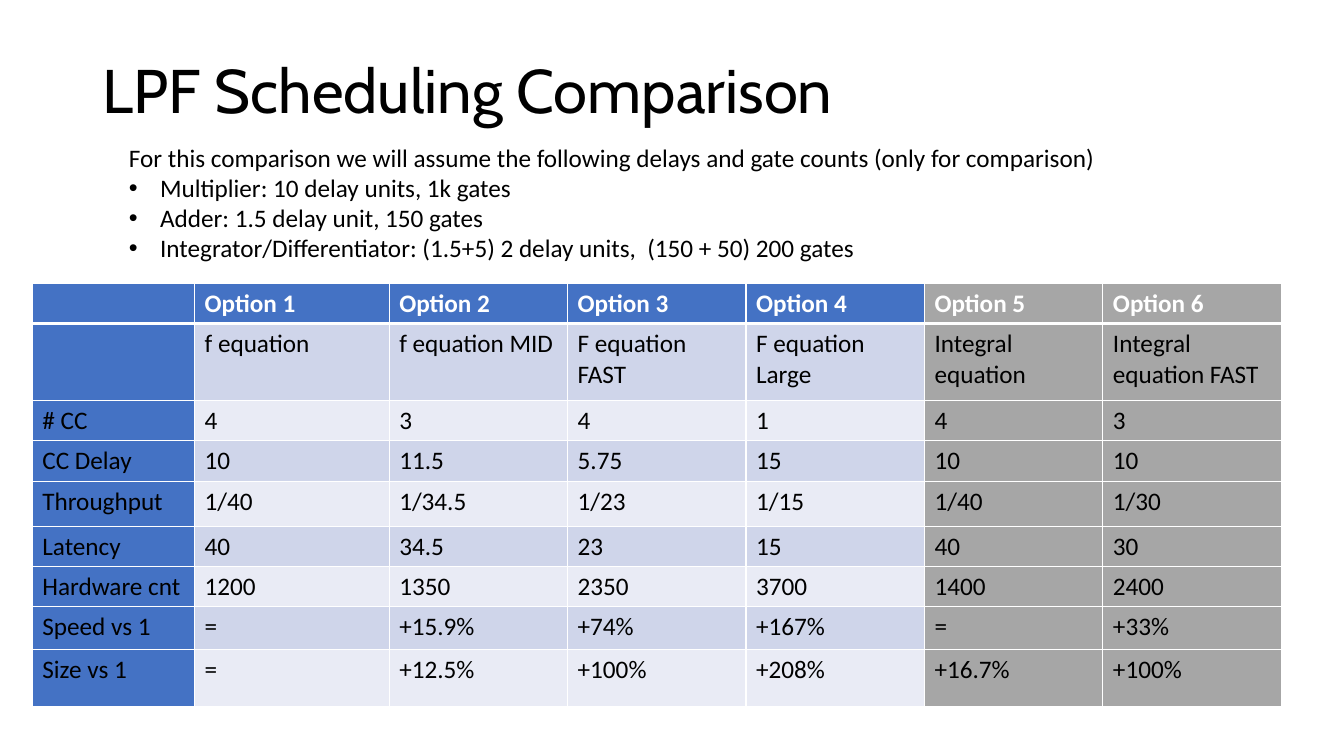
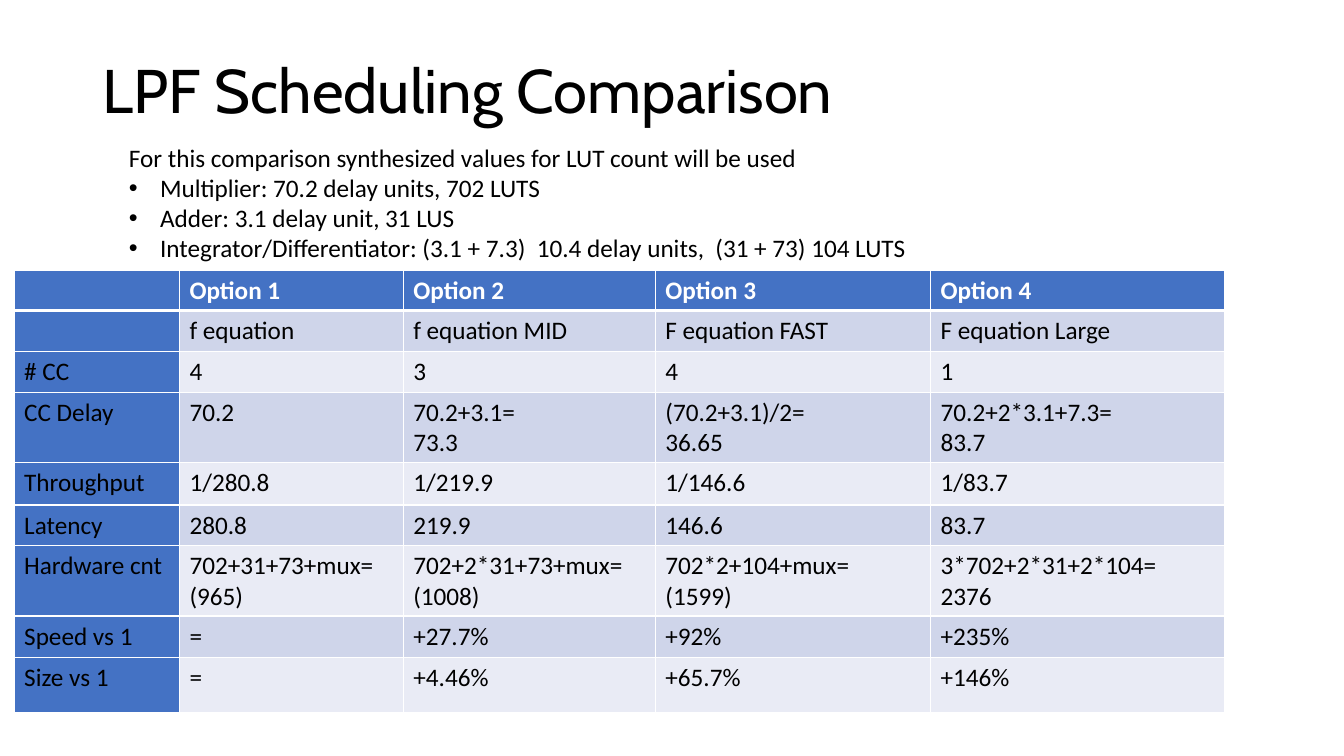
from dataclasses import dataclass

from lxml.etree import SubElement
from pptx import Presentation
from pptx.dml.color import RGBColor
from pptx.enum.text import MSO_ANCHOR, MSO_AUTO_SIZE
from pptx.oxml.ns import qn
from pptx.slide import Slide
from pptx.table import _Cell as Cell
from pptx.text.text import _Paragraph as Paragraph
from pptx.util import Inches, Pt

BLACK = RGBColor(0x00, 0x00, 0x00)
WHITE = RGBColor(0xFF, 0xFF, 0xFF)
BLUE = RGBColor(0x44, 0x72, 0xC4)
GRAY = RGBColor(0xA6, 0xA6, 0xA6)
BANDS = (RGBColor(0xE9, 0xEB, 0xF5), RGBColor(0xCF, 0xD5, 0xEA))

TITLE = "LPF Scheduling Comparison"
TITLE_FONT, BODY_FONT = "Cabin", "Calibri"
TITLE_SIZE, BODY_SIZE = Pt(44), Pt(18)
BULLET_INDENT = Inches(0.31)
THIN, THICK = Pt(1), Pt(3)


@dataclass(frozen=True)
class Comparison:
    """One slide: assumptions above a table; columns from first_gray on are gray."""
    intro: str
    bullets: tuple[str, ...]
    left: float
    top: float
    widths: tuple[float, ...]
    heights: tuple[float, ...]
    rows: tuple[tuple[str, ...], ...]
    first_gray: int


COMPARISONS = (
    Comparison(
        intro="For this comparison we will assume the following delays and gate counts (only for comparison)",
        bullets=(
            "Multiplier: 10 delay units, 1k gates",
            "Adder: 1.5 delay unit, 150 gates",
            "Integrator/Differentiator: (1.5+5) 2 delay units,  (150 + 50) 200 gates",
        ),
        left=0.32,
        top=2.81,
        widths=(1.61, 1.93) + (1.77,) * 5,
        heights=(0.37, 0.76, 0.37, 0.41, 0.44, 0.37, 0.23, 0.42, 0.57),
        rows=(
            ("", "Option 1", "Option 2", "Option 3", "Option 4", "Option 5", "Option 6"),
            ("", "f equation", "f equation MID", "F equation FAST", "F equation Large",
             "Integral equation", "Integral equation FAST"),
            ("# CC", "4", "3", "4", "1", "4", "3"),
            ("CC Delay", "10", "11.5", "5.75", "15", "10", "10"),
            ("Throughput", "1/40", "1/34.5", "1/23", "1/15", "1/40", "1/30"),
            ("Latency", "40", "34.5", "23", "15", "40", "30"),
            ("Hardware cnt", "1200", "1350", "2350", "3700", "1400", "2400"),
            ("Speed vs 1", "=", "+15.9%", "+74%", "+167%", "=", "+33%"),
            ("Size vs 1", "=", "+12.5%", "+100%", "+208%", "+16.7%", "+100%"),
        ),
        first_gray=5,
    ),
    Comparison(
        intro="For this comparison synthesized values for LUT count will be used",
        bullets=(
            "Multiplier: 70.2 delay units, 702 LUTS",
            "Adder: 3.1 delay unit, 31 LUS",
            "Integrator/Differentiator: (3.1 + 7.3)  10.4 delay units,  (31 + 73) 104 LUTS",
        ),
        left=0.14,
        top=2.68,
        widths=(1.64, 2.22, 2.5, 2.73, 2.92),
        heights=(0.38, 0.41, 0.38, 0.67, 0.42, 0.38, 0.67, 0.41, 0.55),
        rows=(
            ("", "Option 1", "Option 2", "Option 3", "Option 4"),
            ("", "f equation", "f equation MID", "F equation FAST", "F equation Large"),
            ("# CC", "4", "3", "4", "1"),
            ("CC Delay", "70.2", "70.2+3.1=\n73.3", "(70.2+3.1)/2=\n36.65", "70.2+2*3.1+7.3=\n83.7"),
            ("Throughput", "1/280.8", "1/219.9", "1/146.6", "1/83.7"),
            ("Latency", "280.8", "219.9", "146.6", "83.7"),
            ("Hardware cnt", "702+31+73+mux=\n(965)", "702+2*31+73+mux=\n(1008)",
             "702*2+104+mux=\n(1599)", "3*702+2*31+2*104=\n2376"),
            ("Speed vs 1", "=", "+27.7%", "+92%", "+235%"),
            ("Size vs 1", "=", "+4.46%", "+65.7%", "+146%"),
        ),
        first_gray=5,
    ),
)


def style(p: Paragraph, name: str = BODY_FONT, size: Pt = BODY_SIZE,
          color: RGBColor = BLACK, bold: bool = False) -> None:
    p.font.name, p.font.size, p.font.bold = name, size, bold
    p.font.color.rgb = color


def add_bullet(p: Paragraph) -> None:
    pPr = p._p.get_or_add_pPr()
    pPr.set("marL", str(BULLET_INDENT))
    pPr.set("indent", str(-BULLET_INDENT))
    # Bullet elements must precede the default run properties.
    font = pPr.makeelement(qn("a:buFont"), {"typeface": "Arial"})
    char = pPr.makeelement(qn("a:buChar"), {"char": "•"})
    pPr.insert(0, font)
    font.addnext(char)


def add_title(s: Slide) -> None:
    tf = s.shapes.add_textbox(Inches(0.92), Inches(0.2), Inches(11.5), Inches(1.45)).text_frame
    tf.word_wrap = True
    tf.vertical_anchor = MSO_ANCHOR.MIDDLE
    p = tf.paragraphs[0]
    p.text, p.line_spacing = TITLE, 0.9
    style(p, TITLE_FONT, TITLE_SIZE)


def add_assumptions(s: Slide, item: Comparison) -> None:
    tf = s.shapes.add_textbox(Inches(1.18), Inches(1.36), Inches(10.98), Inches(1.62)).text_frame
    tf.word_wrap = True
    tf.auto_size = MSO_AUTO_SIZE.SHAPE_TO_FIT_TEXT
    tf.text = "\n".join((item.intro, *item.bullets))
    for i, p in enumerate(tf.paragraphs):
        style(p)
        if i > 0:
            add_bullet(p)


def set_borders(cell: Cell, top: Pt, bottom: Pt) -> None:
    tcPr = cell._tc.get_or_add_tcPr()
    for side, width in (("L", THIN), ("R", THIN), ("T", top), ("B", bottom)):
        ln = SubElement(tcPr, qn(f"a:ln{side}"), w=str(width))
        SubElement(SubElement(ln, qn("a:solidFill")), qn("a:srgbClr"), val=str(WHITE))


def cell_fill(row: int, col: int, first_gray: int) -> RGBColor:
    if col >= first_gray:
        return GRAY
    return BLUE if row == 0 or col == 0 else BANDS[row % 2]


def add_comparison_table(s: Slide, item: Comparison) -> None:
    table = s.shapes.add_table(
        len(item.rows), len(item.widths), Inches(item.left), Inches(item.top),
        Inches(sum(item.widths)), Inches(sum(item.heights))).table
    table.first_row = table.horz_banding = False
    for column, width in zip(table.columns, item.widths):
        column.width = Inches(width)
    for r, (row, height) in enumerate(zip(table.rows, item.heights)):
        row.height = Inches(height)
        header = r == 0
        for c, text in enumerate(item.rows[r]):
            cell = table.cell(r, c)
            cell.text = text
            for p in cell.text_frame.paragraphs:
                style(p, color=WHITE if header else BLACK, bold=header)
            set_borders(cell, THICK if r == 1 else THIN, THICK if header else THIN)
            cell.fill.solid()
            cell.fill.fore_color.rgb = cell_fill(r, c, item.first_gray)


def main() -> None:
    prs = Presentation()
    prs.slide_width, prs.slide_height = Inches(13.33), Inches(7.5)
    for item in COMPARISONS:
        s = prs.slides.add_slide(prs.slide_layouts[6])
        add_title(s)
        add_assumptions(s, item)
        add_comparison_table(s, item)
    prs.save("out.pptx")


if __name__ == "__main__":
    main()
